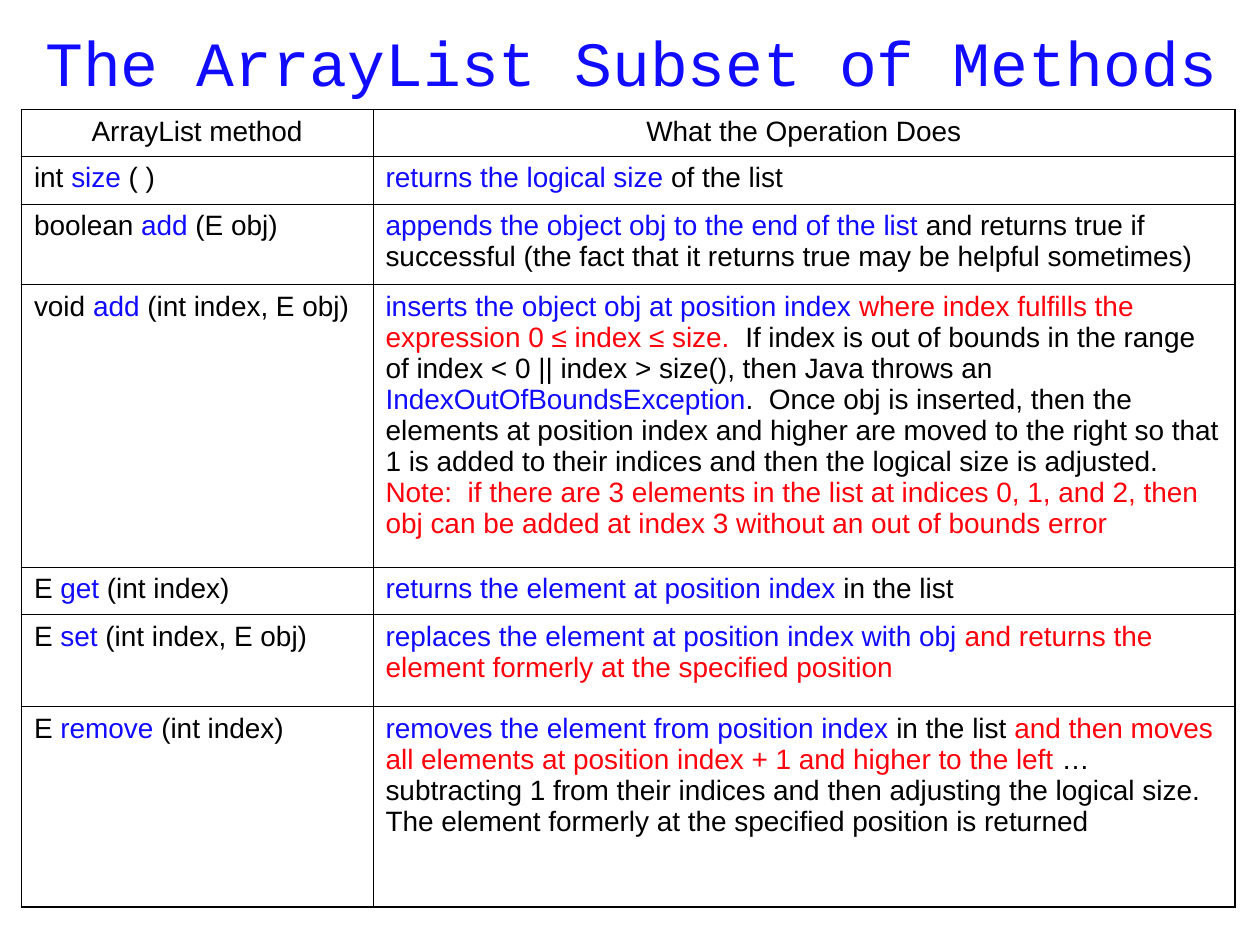
from dataclasses import dataclass

from lxml import etree
from pptx import Presentation
from pptx.dml.color import RGBColor
from pptx.enum.text import MSO_ANCHOR, MSO_AUTO_SIZE, PP_ALIGN
from pptx.oxml.ns import qn
from pptx.util import Inches, Pt

CENTER, LEFT = PP_ALIGN.CENTER, PP_ALIGN.LEFT
MIDDLE = MSO_ANCHOR.MIDDLE
NO_AUTOFIT = MSO_AUTO_SIZE.NONE
TITLE_ONLY_LAYOUT = 5
GRID_COLUMNS, GRID_ROWS = 100, 75


@dataclass(frozen=True)
class Theme:
    plain: str = "000000"
    key: str = "110BFF"
    warning: str = "FF020C"
    title_font: str = "Courier New"
    body_font: str = "Arial"
    title_size: float = 36
    body_size: float = 16
    space_before: float = 4
    outer_line: float = 1.08
    inner_line: float = 0.45


THEME = Theme()
PLAIN, KEY, WARNING = THEME.plain, THEME.key, THEME.warning

HEADINGS = ("ArrayList method", "What the Operation Does")
COLUMN_WIDTHS = (27.9, 68.4)
HEADING_HEIGHT = 3.7

# Row height, (return type, name, parameters), description runs
METHODS = [
    (3.8, ("int ", "size", " ( )"), [
        ("returns the logical size", KEY),
        (" of the list", PLAIN)]),
    (6.4, ("boolean ", "add", " (E obj)"), [
        ("appends the object obj to the end of the list", KEY),
        (" and returns true if successful (the fact that it returns true "
         "may be helpful sometimes)", PLAIN)]),
    (22.4, ("void ", "add", " (int index, E obj)"), [
        ("inserts the object obj at position index ", KEY),
        ("where index fulfills the expression 0 ≤ index ≤ size.", WARNING),
        ("  If index is out of bounds in the range of index < 0 || "
         "index > size(), then Java throws an ", PLAIN),
        ("IndexOutOfBoundsException", KEY),
        (".  Once obj is inserted, then the elements at position index and "
         "higher are moved to the right so that 1 is added to their indices "
         "and then the logical size is adjusted.  ", PLAIN),
        ("Note:  if there are 3 elements in the list at indices 0, 1, and 2, "
         "then obj can be added at index 3 without an out of bounds error",
         WARNING)]),
    (3.8, ("E ", "get", " (int index)"), [
        ("returns the element at position index", KEY),
        (" in the list", PLAIN)]),
    (7.3, ("E ", "set", " (int index, E obj)"), [
        ("replaces the element at position index with obj ", KEY),
        ("and returns the element formerly at the specified position",
         WARNING)]),
    (15.9, ("E ", "remove", " (int index)"), [
        ("removes the element from position index", KEY),
        (" in the list ", PLAIN),
        ("and then moves all elements at position index + 1 and higher "
         "to the left", WARNING),
        (" … subtracting 1 from their indices and then adjusting the logical "
         "size.  The element formerly at the specified position is returned",
         PLAIN)]),
]


class SlideBuilder:
    """Places elements on one slide, measured in grid columns and rows."""

    def __init__(self, presentation, theme):
        self.theme = theme
        self.column = presentation.slide_width / GRID_COLUMNS
        self.row = presentation.slide_height / GRID_ROWS
        layout = presentation.slide_layouts[TITLE_ONLY_LAYOUT]
        self.slide = presentation.slides.add_slide(layout)

    def across(self, columns):
        return round(columns * self.column)

    def down(self, rows):
        return round(rows * self.row)

    def add_runs(self, paragraph, runs, font, size, alignment):
        paragraph.alignment = alignment
        for text, color in runs:
            run = paragraph.add_run()
            run.text = text
            run.font.name = font
            run.font.size = Pt(size)
            run.font.bold = False
            run.font.color.rgb = RGBColor.from_string(color)

    def title(self, text, left, top, width, height):
        shape = self.slide.shapes.title
        shape.left, shape.top = self.across(left), self.down(top)
        shape.width, shape.height = self.across(width), self.down(height)
        frame = shape.text_frame
        frame.word_wrap = True
        frame.auto_size = NO_AUTOFIT
        frame.vertical_anchor = MIDDLE
        self.add_runs(frame.paragraphs[0], [(text, self.theme.key)],
                      self.theme.title_font, self.theme.title_size, CENTER)

    def border(self, cell, outer_sides):
        """Rule all four sides, heavier on those at the table's edge."""
        properties = cell._tc.get_or_add_tcPr()
        for side, is_outer in outer_sides.items():
            weight = self.theme.outer_line if is_outer else self.theme.inner_line
            line = etree.SubElement(properties, qn(f"a:ln{side}"), w=str(Pt(weight)))
            fill = etree.SubElement(line, qn("a:solidFill"))
            etree.SubElement(fill, qn("a:srgbClr"), val=self.theme.plain)

    def table(self, rows, left, top, widths, heights):
        """Draw rows of cells, each cell a list of (text, color) runs."""
        table = self.slide.shapes.add_table(
            len(rows), len(widths), self.across(left), self.down(top),
            self.across(sum(widths)), self.down(sum(heights))).table
        table.first_row = table.horz_banding = False
        for column, width in zip(table.columns, widths):
            column.width = self.across(width)
        last_row, last_column = len(rows) - 1, len(widths) - 1
        for i, (cells, height) in enumerate(zip(rows, heights)):
            table.rows[i].height = self.down(height)
            for j, runs in enumerate(cells):
                cell = table.cell(i, j)
                self.border(cell, {"L": j == 0, "R": j == last_column,
                                   "T": i == 0, "B": i == last_row})
                cell.fill.background()
                paragraph = cell.text_frame.paragraphs[0]
                paragraph.space_before = Pt(self.theme.space_before)
                self.add_runs(paragraph, runs, self.theme.body_font,
                              self.theme.body_size, LEFT if i else CENTER)


def main():
    presentation = Presentation()
    presentation.slide_width = Inches(10)
    presentation.slide_height = Inches(7.5)

    builder = SlideBuilder(presentation, THEME)
    builder.title("The ArrayList Subset of Methods", 1, 0.5, 98.2, 8.8)

    rows = [[[(heading, PLAIN)] for heading in HEADINGS]]
    rows += [[list(zip(signature, (PLAIN, KEY, PLAIN))), description]
             for _, signature, description in METHODS]
    heights = [HEADING_HEIGHT] + [height for height, _, _ in METHODS]
    builder.table(rows, 1.7, 8.7, COLUMN_WIDTHS, heights)

    presentation.save("out.pptx")


if __name__ == "__main__":
    main()
